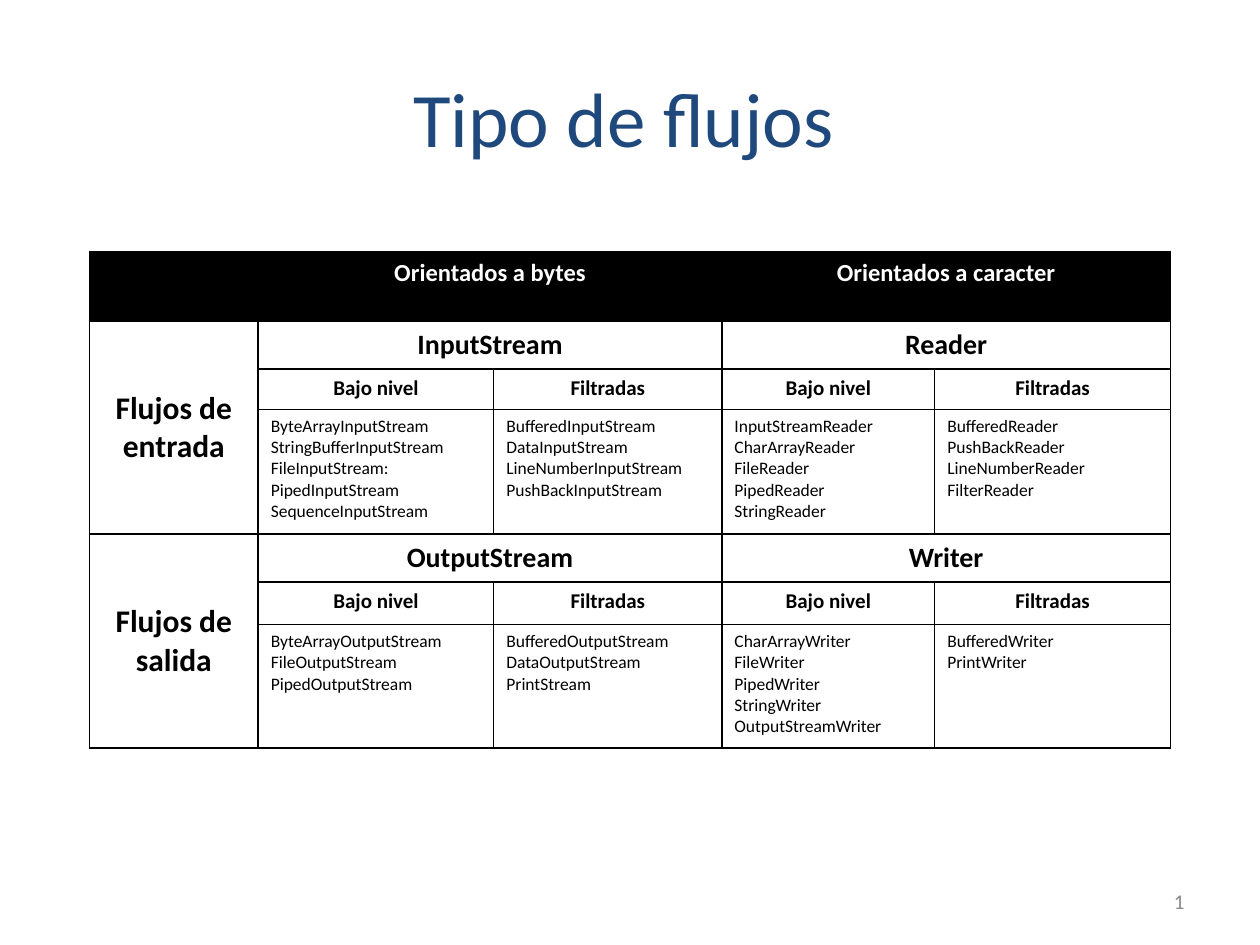
"""Build the slide that classifies the stream classes."""
from lxml import etree
from pptx import Presentation
from pptx import util as u
from pptx.dml.color import RGBColor
from pptx.enum import text
from pptx.oxml.ns import qn

BLACK, WHITE, NAVY, GREY = "000000", "FFFFFF", "1F497D", "898989"
THICK, THIN = 1.08, 0.45
CENTER, LEFT, RIGHT = text.PP_ALIGN.CENTER, text.PP_ALIGN.LEFT, text.PP_ALIGN.RIGHT
COLUMN_WIDTHS = [1.34, 1.87, 1.81, 1.69, 1.87]
ROW_HEIGHTS = [0.55, 0.38, 0.32, 0.99, 0.38, 0.34, 0.98]
HEADINGS = ["Orientados a bytes", "Orientados a caracter"]
LEVELS = ["Bajo nivel", "Filtradas"] * 2
DIRECTIONS = [
    ("Flujos de entrada", ["InputStream", "Reader"], [
        ["ByteArrayInputStream", "StringBufferInputStream", "FileInputStream:",
         "PipedInputStream", "SequenceInputStream"],
        ["BufferedInputStream", "DataInputStream", "LineNumberInputStream",
         "PushBackInputStream"],
        ["InputStreamReader", "CharArrayReader", "FileReader", "PipedReader",
         "StringReader"],
        ["BufferedReader", "PushBackReader", "LineNumberReader", "FilterReader"],
    ]),
    ("Flujos de salida", ["OutputStream", "Writer"], [
        ["ByteArrayOutputStream", "FileOutputStream", "PipedOutputStream"],
        ["BufferedOutputStream", "DataOutputStream", "PrintStream"],
        ["CharArrayWriter", "FileWriter", "PipedWriter", "StringWriter",
         "OutputStreamWriter"],
        ["BufferedWriter", "PrintWriter"],
    ]),
]


def color(value):
    """Return the colour for a hex string."""
    return RGBColor.from_string(value)


def write(frame, *lines, size, fill=BLACK, bold=False, align=CENTER):
    """Write each line as one formatted paragraph."""
    for index, line in enumerate(lines):
        paragraph = frame.add_paragraph() if index else frame.paragraphs[0]
        paragraph.alignment = align
        run = paragraph.add_run()
        run.text = line
        run.font.name = "Calibri"
        run.font.size = u.Pt(size)
        run.font.bold = bold
        run.font.color.rgb = color(fill)


def place(shape, left, top, width, height):
    """Set the position and size of a shape in inches."""
    shape.left, shape.top = u.Inches(left), u.Inches(top)
    shape.width, shape.height = u.Inches(width), u.Inches(height)


def set_borders(cell, widths):
    """Draw the left, right, top and bottom borders of a cell."""
    properties = cell._tc.get_or_add_tcPr()
    for index, (tag, width) in enumerate(zip(("lnL", "lnR", "lnT", "lnB"), widths)):
        line = etree.Element(qn(f"a:{tag}"), w=str(u.Pt(width)))
        solid = etree.SubElement(line, qn("a:solidFill"))
        etree.SubElement(solid, qn("a:srgbClr"), val=BLACK)
        properties.insert(index, line)


def border_widths(row, column):
    """Return border widths, thin between cells of the same stream family."""
    if column == 0 or row in (0, 1, 4):
        return [THICK] * 4
    low_level, labels = column % 2 == 1, row in (2, 5)
    return [THICK if low_level else THIN, THIN if low_level else THICK,
            THICK if labels else THIN, THIN if labels else THICK]


def write_pair(table, row, names, **style):
    """Write two names, each over a pair of merged columns."""
    for column, name in zip((1, 3), names):
        cell = table.cell(row, column)
        cell.merge(table.cell(row, column + 1))
        write(cell.text_frame, name, bold=True, **style)


def write_direction(table, row, label, families, class_lists):
    """Fill the three rows of one stream direction."""
    heading = table.cell(row, 0)
    heading.merge(table.cell(row + 2, 0))
    heading.vertical_anchor = text.MSO_ANCHOR.MIDDLE
    write(heading.text_frame, label, size=18, bold=True)
    write_pair(table, row, families, size=16)
    for column, (level, classes) in enumerate(zip(LEVELS, class_lists), 1):
        write(table.cell(row + 1, column).text_frame, level, size=12, bold=True)
        write(table.cell(row + 2, column).text_frame, *classes, size=10, align=LEFT)


def add_streams_table(slide):
    """Add the table of stream classes."""
    table = slide.shapes.add_table(
        len(ROW_HEIGHTS), len(COLUMN_WIDTHS), u.Inches(0.71), u.Inches(2),
        u.Inches(sum(COLUMN_WIDTHS)), u.Inches(sum(ROW_HEIGHTS))).table
    table.first_row = table.horz_banding = False
    for column, width in zip(table.columns, COLUMN_WIDTHS):
        column.width = u.Inches(width)
    for r, (row, height) in enumerate(zip(table.rows, ROW_HEIGHTS)):
        row.height = u.Inches(height)
        for c, cell in enumerate(row.cells):
            cell.fill.solid()
            cell.fill.fore_color.rgb = color(WHITE if r else BLACK)
            set_borders(cell, border_widths(r, c))
    write_pair(table, 0, HEADINGS, size=14, fill=WHITE)
    for index, direction in enumerate(DIRECTIONS):
        write_direction(table, 1 + 3 * index, *direction)


def add_title(slide, title):
    """Fill and place the title placeholder."""
    place(slide.shapes.title, 0.5, 0.3, 8.9, 1.25)
    frame = slide.shapes.title.text_frame
    frame.vertical_anchor = text.MSO_ANCHOR.MIDDLE
    write(frame, title, size=44, fill=NAVY)


def add_page_number(slide, number):
    """Add the page number at the lower right."""
    frame = slide.shapes.add_textbox(
        u.Inches(7.17), u.Inches(6.95), u.Inches(2.33), u.Inches(0.4)).text_frame
    frame.word_wrap = True
    frame.vertical_anchor = text.MSO_ANCHOR.MIDDLE
    write(frame, number, size=12, fill=GREY, align=RIGHT)


def main():
    """Build and save the presentation."""
    deck = Presentation()
    deck.slide_width, deck.slide_height = u.Inches(10), u.Inches(7.5)
    slide = deck.slides.add_slide(deck.slide_layouts[5])
    add_page_number(slide, "1")
    add_title(slide, "Tipo de flujos")
    add_streams_table(slide)
    deck.save("out.pptx")


if __name__ == "__main__":
    main()
